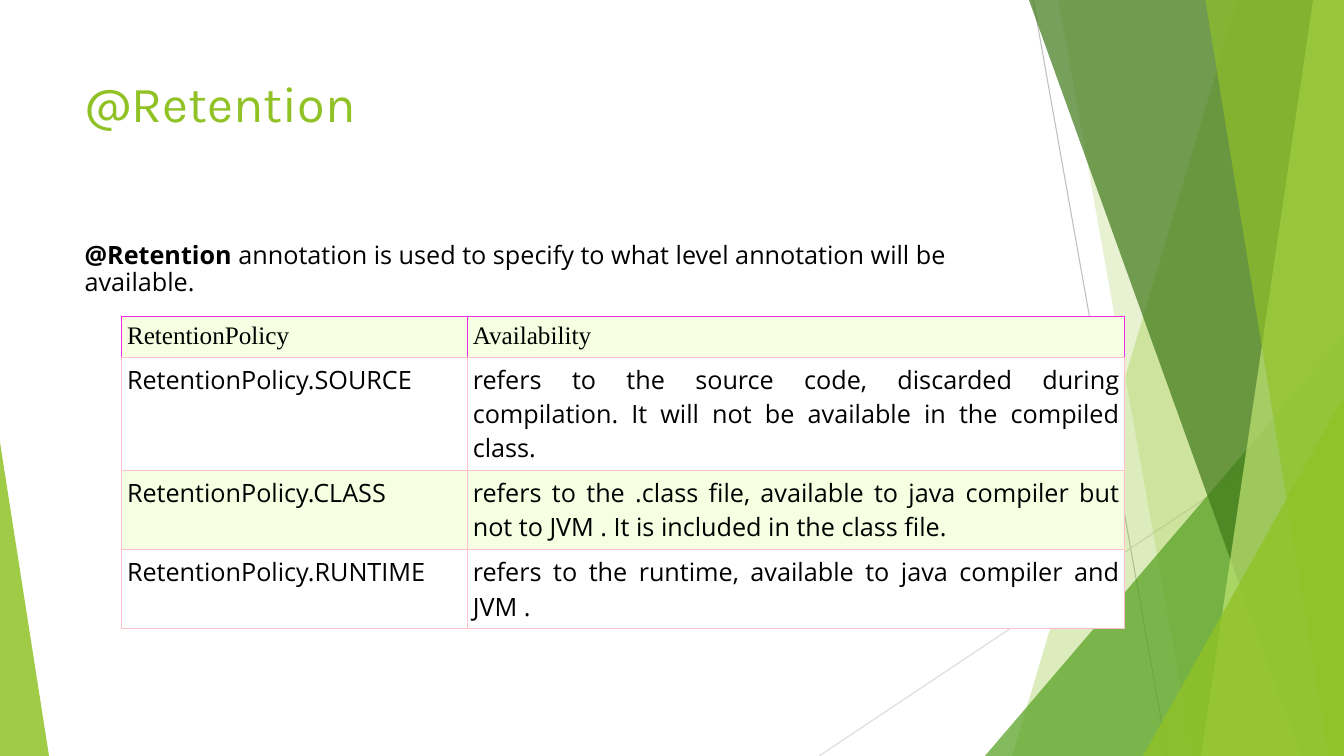
from lxml import etree
from pptx import Presentation
from pptx import util as u
from pptx.dml.color import RGBColor
from pptx.enum import shapes, text
from pptx.oxml import ns

Pt = u.Pt
COLORS = {
    "lime": "90C226", "green": "54A021", "forest": "3F7819", "pale": "C0E474",
    "grey": "BFBFBF", "silver": "D9D9D9", "pink": "FFC0CB", "magenta": "F029E5",
    "mint": "F6FFE1", "white": "FFFFFF", "black": "000000",
}
FORMATS = {
    "title": {"size": Pt(36), "name": "Karla", "color": "lime"},
    "body": {"size": Pt(18), "name": "Open Sans", "color": "black"},
    "strong": {"size": Pt(18), "name": "Open Sans", "color": "black", "bold": True},
    "header": {"size": Pt(18), "name": "Times New Roman", "color": "black"},
}
POLICIES = [
    ("RetentionPolicy", "Availability"),
    ("RetentionPolicy.SOURCE",
     "refers to the source code, discarded during compilation. "
     "It will not be available in the compiled class."),
    ("RetentionPolicy.CLASS",
     "refers to the .class file, available to java compiler but not to JVM . "
     "It is included in the class file."),
    ("RetentionPolicy.RUNTIME",
     "refers to the runtime, available to java compiler and JVM ."),
]
# Facets from back to front; x is measured from the band's left edge.
# "strip": top x, bottom x; "triangle": left x, top y
FACETS = [
    ("strip", 299, 138, "lime", 30),
    ("strip", 171, 267, "lime", 20),
    ("triangle", 118.5, 240, "green", 72),
    ("strip", 150, 344.5, "forest", 70),
    ("strip", 353, 273, "pale", 70),
    ("strip", 276, 364, "lime", 65),
    ("triangle", 231.5, 283, "lime", 80),
]


def rgb(name):
    return RGBColor.from_string(COLORS[name])


def add_span(para, words, style):
    span = para.add_run()
    span.text = words
    for key, value in FORMATS[style].items():
        if key == "color":
            span.font.color.rgb = rgb(value)
        else:
            setattr(span.font, key, value)


def paint(shape, color, opacity):
    shape.shadow.inherit = False
    shape.line.fill.background()
    shape.fill.solid()
    shape.fill.fore_color.rgb = rgb(color)
    tint = shape.fill._xPr.find(".//" + ns.qn("a:srgbClr"))
    etree.SubElement(tint, ns.qn("a:alpha"), val=str(opacity * 1000))


def add_triangle(page, box, apex, color, opacity):
    triangle = page.shapes.add_shape(
        shapes.MSO_SHAPE.ISOSCELES_TRIANGLE, *map(Pt, box))
    triangle.adjustments[0] = apex
    paint(triangle, color, opacity)


def add_hairline(page, start, end, color):
    line = page.shapes.add_connector(
        shapes.MSO_CONNECTOR.STRAIGHT, *map(Pt, start + end))
    line.line.color.rgb = rgb(color)
    line.line.width = Pt(0.75)
    etree.SubElement(line._element.spPr, ns.qn("a:effectLst"))


def draw_facets(page, box):
    left, top, width, height = box
    right, bottom = left + width, top + height
    add_hairline(page, (left + 153, top), (left + 249, bottom), "grey")
    add_hairline(page, (right, top + 290), (left, bottom), "silver")
    for kind, first, second, color, opacity in FACETS:
        if kind == "triangle":
            corner = (left + first, top + second, width - first, height - second)
            add_triangle(page, corner, 1, color, opacity)
            continue
        outline = page.shapes.build_freeform(Pt(left + first), Pt(top))
        corners = [(right, top), (right, bottom), (left + second, bottom)]
        outline.add_line_segments([(Pt(x), Pt(y)) for x, y in corners])
        paint(outline.convert_to_shape(), color, opacity)


def draw_text(page, box, spans, spacing=1):
    frame = page.shapes.add_textbox(*map(Pt, box)).text_frame
    frame.word_wrap = True
    frame.vertical_anchor = text.MSO_ANCHOR.TOP
    para = frame.paragraphs[0]
    para.line_spacing = spacing
    for words, style in spans:
        add_span(para, words, style)


def set_borders(cell, sides):
    props = cell._tc.get_or_add_tcPr()
    for side, color in sides.items():
        edge = etree.SubElement(props, ns.qn("a:ln" + side), w=str(Pt(0.75)))
        fill = etree.SubElement(edge, ns.qn("a:solidFill"))
        etree.SubElement(fill, ns.qn("a:srgbClr"), val=COLORS[color])


def draw_table(page, box, columns, heights):
    table = page.shapes.add_table(
        len(heights), len(columns), *map(Pt, box)).table
    for column, width in zip(table.columns, columns):
        column.width = Pt(width)
    for index, (height, entries) in enumerate(zip(heights, POLICIES)):
        table.rows[index].height = Pt(height)
        header = index == 0
        rim = "magenta" if header else "pink"
        for cell, words in zip(table.rows[index].cells, entries):
            for side in ("left", "right", "top", "bottom"):
                setattr(cell, "margin_" + side, Pt(3.75))
            set_borders(cell, {"L": rim, "R": rim, "T": rim, "B": "pink"})
            cell.fill.solid()
            cell.fill.fore_color.rgb = rgb("white" if index % 2 else "mint")
            para = cell.text_frame.paragraphs[0]
            if not header:
                para.alignment = text.PP_ALIGN.JUSTIFY
            add_span(para, words, "header" if header else "body")


def main():
    deck = Presentation()
    deck.slide_width, deck.slide_height = Pt(960), Pt(540)
    page = deck.slides.add_slide(deck.slide_layouts[6])

    # Background facets
    draw_facets(page, (585, 0, 375, 540))
    add_triangle(page, (0, 316, 35, 224), 0, "lime", 85)

    # Title and introduction
    draw_text(page, (53.33, 48, 677, 104), [("@Retention", "title")])
    draw_text(page, (53.33, 170, 677, 50), [
        ("@Retention", "strong"),
        (" annotation is used to specify to what level annotation "
         "will be available.", "body"),
    ], spacing=0.9)

    # Retention policies
    draw_table(page, (87, 226, 716.5, 222), (247, 469.5), (28, 81, 56.5, 56.5))
    deck.save("out.pptx")


if __name__ == "__main__":
    main()
